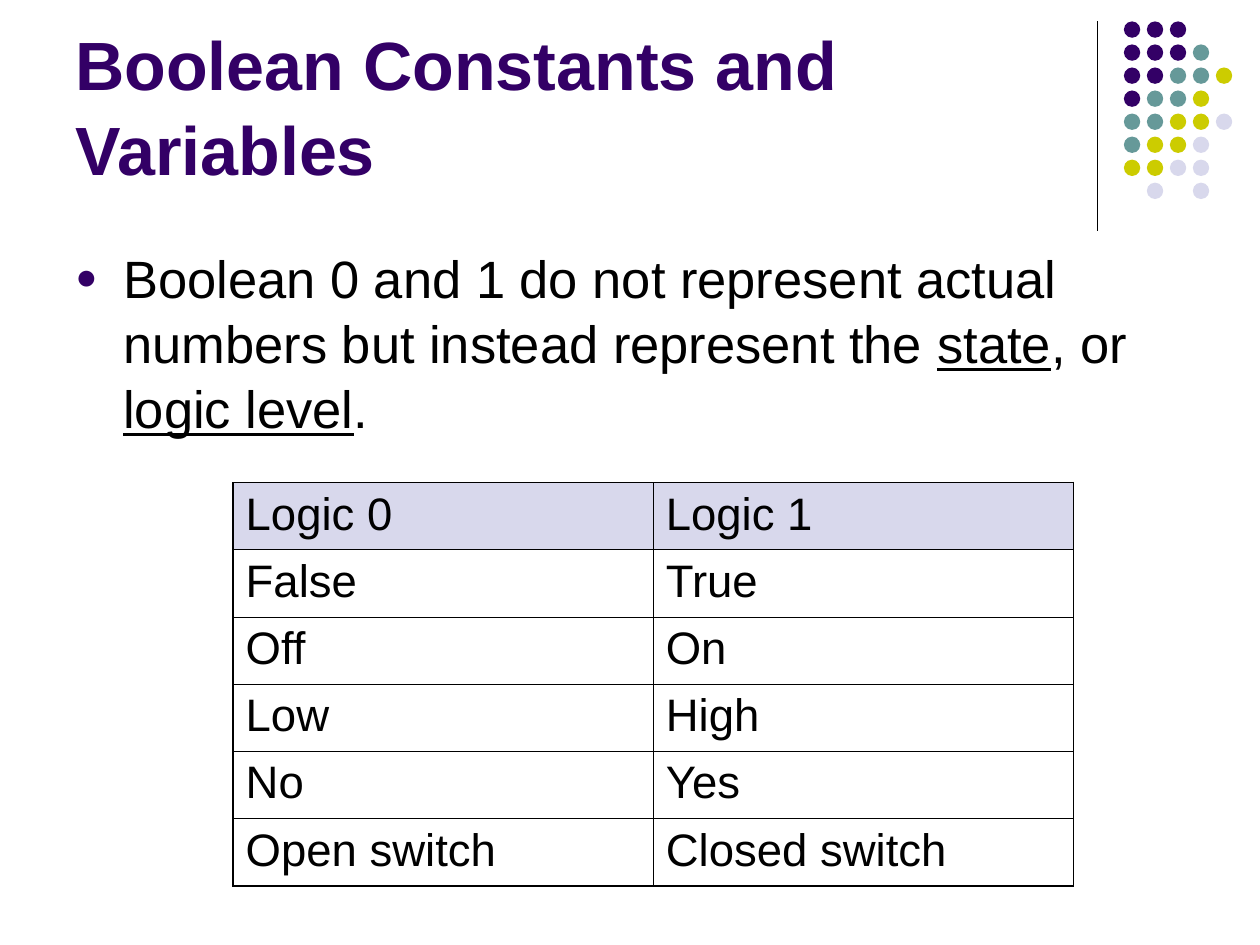
import lxml.etree
import pptx
import pptx.dml.color
import pptx.enum.shapes
import pptx.enum.text
import pptx.oxml.ns
import pptx.util

Inches = pptx.util.Inches
Pt = pptx.util.Pt
RGBColor = pptx.dml.color.RGBColor
qn = pptx.oxml.ns.qn

PURPLE = RGBColor(0x33, 0x00, 0x66)
TEAL = RGBColor(0x66, 0x99, 0x99)
OLIVE = RGBColor(0xCC, 0xCC, 0x00)
LAVENDER = RGBColor(0xD8, 0xD8, 0xEC)
BLACK = RGBColor(0x00, 0x00, 0x00)

TITLE_FONT = {"name": "Arial", "size": Pt(39), "bold": True}
BODY_FONT = {"name": "Arial", "size": Pt(30)}
TABLE_FONT = {"name": "Arial", "size": Pt(26)}
THIN, THICK = Pt(0.45), Pt(1.08)


def format_font(font, values, color):
    for name, value in values.items():
        setattr(font, name, value)
    font.color.rgb = color


def add_element(parent, tag, **attributes):
    element = lxml.etree.SubElement(parent, qn(tag))
    for name, value in attributes.items():
        element.set(name, str(value))
    return element


presentation = pptx.Presentation()
presentation.slide_width = Inches(10)
presentation.slide_height = Inches(7.5)
slide = presentation.slides.add_slide(presentation.slide_layouts[6])

divider = slide.shapes.add_connector(
    pptx.enum.shapes.MSO_CONNECTOR.STRAIGHT,
    Inches(8.71), Inches(0.17), Inches(8.71), Inches(1.83),
)
divider.line.color.rgb = BLACK
divider.line.width = Pt(0.75)
add_element(divider.element.spPr, "a:effectLst")

dot_colors = {"P": PURPLE, "T": TEAL, "O": OLIVE, "L": LAVENDER}
dot_rows = ["PPP", "PPPT", "PPTTO", "PTTO", "TTOOL", "TOOL", "OOLL", "-L-L"]
dots = slide.shapes.add_group_shape()
for row, pattern in enumerate(dot_rows):
    for column, key in enumerate(pattern):
        if key == "-":
            continue
        dot = dots.shapes.add_shape(
            pptx.enum.shapes.MSO_SHAPE.OVAL,
            Inches(8.92 + column * 0.73 / 4), Inches(0.17 + row * 1.28 / 7),
            Inches(0.13), Inches(0.13),
        )
        dot.shadow.inherit = False
        dot.fill.solid()
        dot.fill.fore_color.rgb = dot_colors[key]
        dot.line.fill.background()

title = slide.shapes.add_textbox(Inches(0.5), Inches(0.13), Inches(8.25), Inches(1.42))
title.text_frame.word_wrap = True
title.text_frame.vertical_anchor = pptx.enum.text.MSO_ANCHOR.BOTTOM
paragraph = title.text_frame.paragraphs[0]
paragraph.text = "Boolean Constants and Variables"
paragraph.line_spacing = 1.04
format_font(paragraph.runs[0].font, TITLE_FONT, PURPLE)

body = slide.shapes.add_textbox(Inches(0.5), Inches(1.88), Inches(9), Inches(4.82))
body.text_frame.word_wrap = True
paragraph = body.text_frame.paragraphs[0]
paragraph.line_spacing = 1.04
properties = paragraph._p.get_or_add_pPr()
properties.set("marL", str(Inches(0.38)))
properties.set("indent", str(Inches(-0.38)))
bullet_color = add_element(properties, "a:buClr")
add_element(bullet_color, "a:srgbClr", val=PURPLE)
add_element(properties, "a:buSzPct", val=70000)
add_element(properties, "a:buFont", typeface="Arial")
add_element(properties, "a:buChar", char="●")
body_runs = [
    ("Boolean 0 and 1 do not represent actual numbers but instead represent the ", False),
    ("state", True),
    (", or ", False),
    ("logic level", True),
    (".", False),
]
for text, underline in body_runs:
    run = paragraph.add_run()
    run.text = text
    format_font(run.font, {**BODY_FONT, "underline": underline}, BLACK)

logic_rows = [
    ("Logic 0", "Logic 1"),
    ("False", "True"),
    ("Off", "On"),
    ("Low", "High"),
    ("No", "Yes"),
    ("Open switch", "Closed switch"),
]
table = slide.shapes.add_table(
    len(logic_rows), 2, Inches(1.85), Inches(3.83), Inches(6.67), Inches(3.2)
).table
table.first_row = False
table.horz_banding = False
for row, texts in enumerate(logic_rows):
    for column, text in enumerate(texts):
        cell = table.cell(row, column)
        cell.text = text
        format_font(cell.text_frame.paragraphs[0].runs[0].font, TABLE_FONT, BLACK)
        borders = {
            "a:lnL": THICK if column == 0 else THIN,
            "a:lnR": THICK if column == 1 else THIN,
            "a:lnT": THICK if row == 0 and column == 1 else THIN,
            "a:lnB": THICK if row == len(logic_rows) - 1 else THIN,
        }
        for tag, width in borders.items():
            border = add_element(cell._tc.get_or_add_tcPr(), tag, w=int(width))
            border_fill = add_element(border, "a:solidFill")
            add_element(border_fill, "a:srgbClr", val=BLACK)
        if row == 0:
            cell.fill.solid()
            cell.fill.fore_color.rgb = LAVENDER
        else:
            cell.fill.background()

presentation.save("out.pptx")
